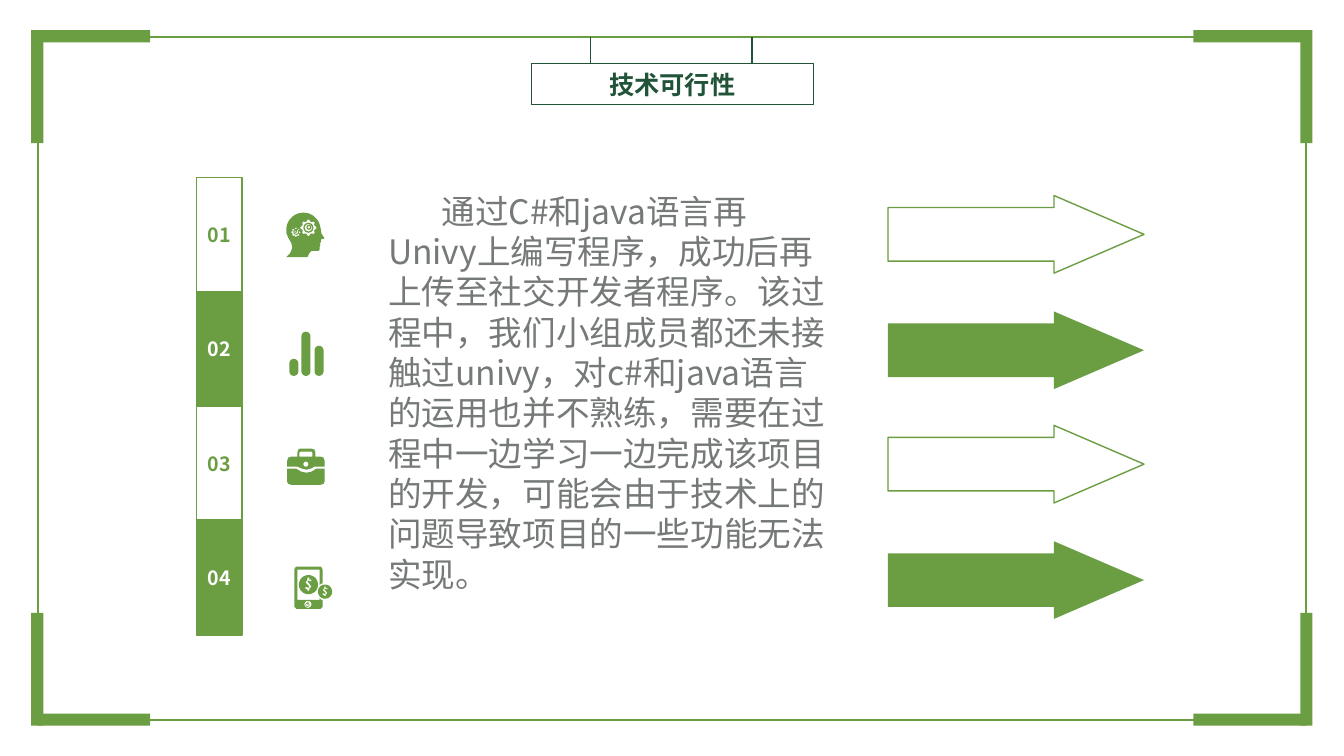
"""Build the technical feasibility slide."""
import math
from dataclasses import dataclass

from lxml import etree
from pptx import Presentation
from pptx.dml.color import RGBColor
from pptx.enum.shapes import MSO_CONNECTOR, MSO_SHAPE
from pptx.enum.text import MSO_ANCHOR, MSO_AUTO_SIZE, PP_ALIGN
from pptx.oxml.ns import qn
from pptx.util import Pt

PX = 9144
RECT, ROUND, OVAL = MSO_SHAPE.RECTANGLE, MSO_SHAPE.ROUNDED_RECTANGLE, MSO_SHAPE.OVAL
DONUT, ARROW = MSO_SHAPE.DONUT, MSO_SHAPE.RIGHT_ARROW
STRAIGHT = MSO_CONNECTOR.STRAIGHT
CENTER, LEFT = PP_ALIGN.CENTER, PP_ALIGN.LEFT
MIDDLE, TOP = MSO_ANCHOR.MIDDLE, MSO_ANCHOR.TOP
NO_FIT, GROW = MSO_AUTO_SIZE.NONE, MSO_AUTO_SIZE.SHAPE_TO_FIT_TEXT

Points = list[tuple[float, float]]


@dataclass(frozen=True)
class Theme:
    green: str = "6B9D43"
    dark: str = "205337"
    grey: str = "757977"
    white: str = "FFFFFF"
    font: str = "Noto Sans CJK SC"
    title: float = 18
    number: float = 14
    body: float = 24
    leading: float = 28.8


@dataclass(frozen=True)
class Box:
    x: int
    y: int
    w: int
    h: int

    def emu(self) -> tuple[int, int, int, int]:
        return self.x * PX, self.y * PX, self.w * PX, self.h * PX


@dataclass(frozen=True)
class Row:
    number: str
    arrow_top: int
    filled: bool


T = Theme()
TITLE = "技术可行性"
BODY = ("通过C#和java语言再Univy上编写程序，成功后再上传至社交开发者程序。该过程中，"
        "我们小组成员都还未接触过univy，对c#和java语言的运用也并不熟练，需要在过程中"
        "一边学习一边完成该项目的开发，可能会由于技术上的问题导致项目的一些功能无法实现。")
ROWS = [Row("01", 194, False), Row("02", 309, True),
        Row("03", 422, False), Row("04", 537, True)]
CHART_BARS = [Box(287, 356, 9, 17), Box(299, 329, 9, 44), Box(312, 343, 9, 30)]

FACE: Points = [
    (318, 226), (319, 232), (321, 235), (322, 236), (321, 237), (319, 237), (318, 241),
    (317, 242), (318, 243), (317, 245), (317, 248), (316, 249), (309, 249), (307, 251),
    (305, 255), (284, 255), (288, 251), (290, 246), (289, 241), (286, 236), (284, 231)]
CASE_BASE: Points = [
    (285, 465), (294, 465), (299, 468), (304, 469), (309, 468), (314, 465), (322, 465),
    (322, 478), (321, 480), (318, 481), (289, 481), (286, 480), (285, 478)]
CASE_LID: Points = [
    (285, 463), (285, 457), (286, 454), (289, 453), (295, 453), (295, 449), (296, 446),
    (298, 445), (309, 445), (312, 446), (313, 449), (313, 453), (318, 453), (321, 454),
    (322, 457), (322, 463), (312, 463), (308, 465), (304, 466), (300, 465), (295, 463)]
CASE_HANDLE: Points = [
    (297, 453), (297, 449), (298, 448), (309, 448), (310, 449), (310, 453)]
PHONE: Points = [
    (292, 565), (293, 563), (294, 562), (318, 562), (319, 563), (320, 565),
    (320, 602), (319, 603), (318, 604), (294, 604), (293, 603), (292, 602)]
SCREEN: Points = [(295, 565), (317, 565), (317, 595), (295, 595)]
DOLLAR: Points = [
    (1, 4), (1, 6), (-1, 6), (-1, 5), (-3, 4), (-3, 2), (0, 3), (1, 2), (-1, 0), (-3, -2),
    (-1, -5), (-1, -7), (1, -7), (1, -5), (3, -5), (3, -3), (0, -4), (-1, -3), (1, -1), (3, 2)]


def arc(cx: float, cy: float, r: float, start: int = 0, sweep: int = 360) -> Points:
    """Return points along a circular arc."""
    angles = [math.radians(a) for a in range(start, start + sweep, 10)]
    return [(cx + r * math.cos(a), cy + r * math.sin(a)) for a in angles]


def gear(cx: float, cy: float, root: float, tip: float) -> Points:
    """Return the outline of an eight-toothed gear."""
    points = []
    for i in range(32):
        r = tip if i % 4 < 2 else root
        a = math.radians(i * 11.25 - 5.6)
        points.append((cx + r * math.cos(a), cy + r * math.sin(a)))
    return points


def paint(s, fill: str = "", line: str = "", width: float = 1) -> None:
    """Set fill and line, and drop the shadow."""
    s.shadow.inherit = False
    if fill:
        s.fill.solid()
        s.fill.fore_color.rgb = RGBColor.from_string(fill)
    else:
        s.fill.background()
    if line:
        s.line.color.rgb = RGBColor.from_string(line)
        s.line.width = Pt(width)
    else:
        s.line.fill.background()


def add_shape(sp, kind, box: Box, fill: str = "", line: str = "", width: float = 1,
              adjust: tuple[float, ...] = ()):
    """Add a preset shape."""
    s = sp.add_shape(kind, *box.emu())
    paint(s, fill, line, width)
    for i, value in enumerate(adjust):
        s.adjustments[i] = value
    return s


def add_outline(sp, *contours: Points) -> None:
    """Add a green freeform whose inner contours are holes."""
    scaled = [[(x * 10, y * 10) for x, y in c] for c in contours]
    builder = sp.build_freeform(*scaled[0][0], scale=PX / 10)
    for i, contour in enumerate(scaled):
        if i:
            builder.move_to(*contour[0])
        builder.add_line_segments(contour[1:], close=True)
    paint(builder.convert_to_shape(), T.green)


def add_coin(sp, cx: float, cy: float, r: float, scale: float) -> None:
    """Add a coin with a cut-out dollar sign."""
    add_outline(sp, arc(cx, cy, r), [(cx + x * scale, cy + y * scale) for x, y in DOLLAR])


def write(s, text: str, size: float, color: str, bold: bool = True, align=CENTER,
          anchor=MIDDLE, fit=NO_FIT, insets: tuple[int, int, int, int] = (0, 0, 0, 0)):
    """Write one formatted paragraph and return it."""
    tf = s.text_frame
    tf.word_wrap, tf.auto_size, tf.vertical_anchor = True, fit, anchor
    tf.margin_left, tf.margin_top, tf.margin_right, tf.margin_bottom = [n * PX for n in insets]
    p = tf.paragraphs[0]
    p.text, p.alignment = text, align
    p.font.size, p.font.bold, p.font.name = Pt(size), bold, T.font
    p.font.color.rgb = RGBColor.from_string(color)
    etree.SubElement(p._p.pPr.find(qn("a:defRPr")), qn("a:ea"), typeface=T.font)
    return p


def draw_frame(sp) -> None:
    """Draw the border and its corner brackets."""
    add_shape(sp, RECT, Box(38, 37, 1258, 677), line=T.green, width=1.5)
    for across_x, down_x in ((37, 31), (1184, 1290)):
        for across_y, down_y in ((30, 30), (708, 608)):
            add_shape(sp, RECT, Box(across_x, across_y, 112, 12), T.green)
            add_shape(sp, RECT, Box(down_x, down_y, 12, 112), T.green)


def draw_title(sp) -> None:
    """Format the title sign and hang it from the border."""
    s = sp.title
    s.left, s.top, s.width, s.height = Box(527, 63, 280, 41).emu()
    s.fill.background()
    s.line.color.rgb = RGBColor.from_string(T.dark)
    s.line.width = Pt(1)
    write(s, TITLE, T.title, T.dark)
    for x in (586, 746):
        c = sp.add_connector(STRAIGHT, x * PX, 37 * PX, x * PX, 64 * PX)
        c.line.color.rgb = RGBColor.from_string(T.dark)
        c.line.width = Pt(1)
        etree.SubElement(c._element.spPr, qn("a:effectLst"))


def draw_rows(sp) -> None:
    """Draw the numbered column and the arrows."""
    for i, row in enumerate(ROWS):
        fill = T.green if row.filled else ""
        s = add_shape(sp, RECT, Box(195, 176 + i * 227 // 2, 45, 114), fill, T.green)
        write(s, row.number, T.number, T.white if row.filled else T.green)
        add_shape(sp, ARROW, Box(881, row.arrow_top, 254, 77), fill,
                  "" if row.filled else T.green, adjust=(0.69, 1.16))


def draw_icons(sp) -> None:
    """Draw the head, bar chart, briefcase and phone icons."""
    add_outline(sp, arc(301, 228, 17, 180, 180) + FACE,
                gear(306, 226, 6.5, 8), gear(293.5, 230.5, 3.6, 4.6))
    for box, thickness in ((Box(301, 221, 10, 10), 0.13), (Box(304, 223, 5, 5), 0.25),
                           (Box(291, 227, 6, 6), 0.15), (Box(292, 228, 3, 3), 0.3)):
        add_shape(sp, DONUT, box, T.green, adjust=(thickness,))
    for box in CHART_BARS:
        add_shape(sp, ROUND, box, T.green, adjust=(0.5,))
    add_outline(sp, CASE_BASE)
    add_outline(sp, CASE_LID, CASE_HANDLE, arc(303.5, 460.5, 2.5))
    add_outline(sp, PHONE, SCREEN, arc(305.5, 599.5, 3.5))
    add_shape(sp, DONUT, Box(303, 598, 4, 4), T.green, adjust=(0.15,))
    add_shape(sp, RECT, Box(305, 597, 1, 3), T.green)
    add_shape(sp, OVAL, Box(314, 578, 18, 18), T.white)
    add_coin(sp, 306, 580, 9.5, 1)
    add_coin(sp, 322.5, 587, 7, 0.75)


def draw_body(sp) -> None:
    """Add the paragraph of text."""
    s = sp.add_textbox(*Box(377, 185, 450, 411).emu())
    p = write(s, BODY, T.body, T.grey, False, LEFT, TOP, GROW, (8, 4, 7, 4))
    p.line_spacing = Pt(T.leading)
    p._p.pPr.set("indent", str(53 * PX))


def main() -> None:
    """Build and save the deck."""
    prs = Presentation()
    prs.slide_width, prs.slide_height = 4000 * PX // 3, 750 * PX
    sp = prs.slides.add_slide(prs.slide_layouts[5]).shapes
    for draw in (draw_frame, draw_title, draw_rows, draw_icons, draw_body):
        draw(sp)
    prs.save("out.pptx")


if __name__ == "__main__":
    main()
